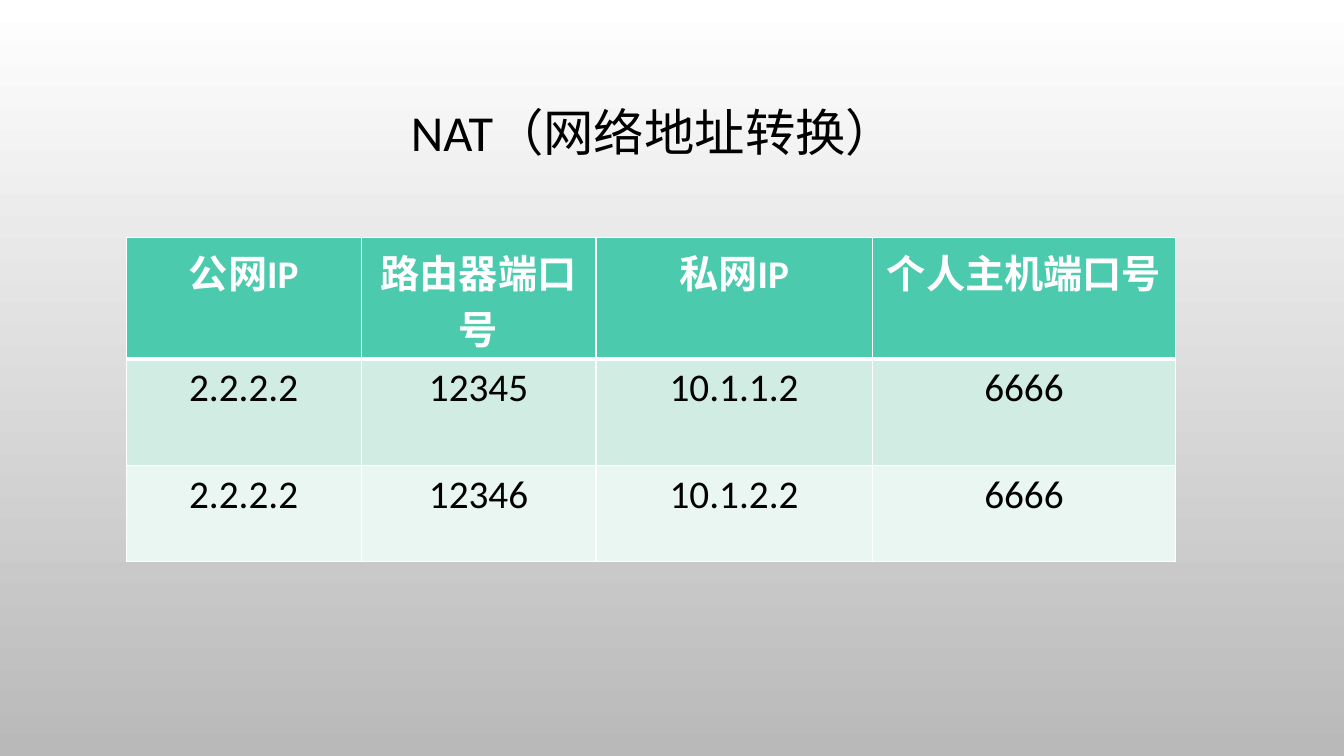
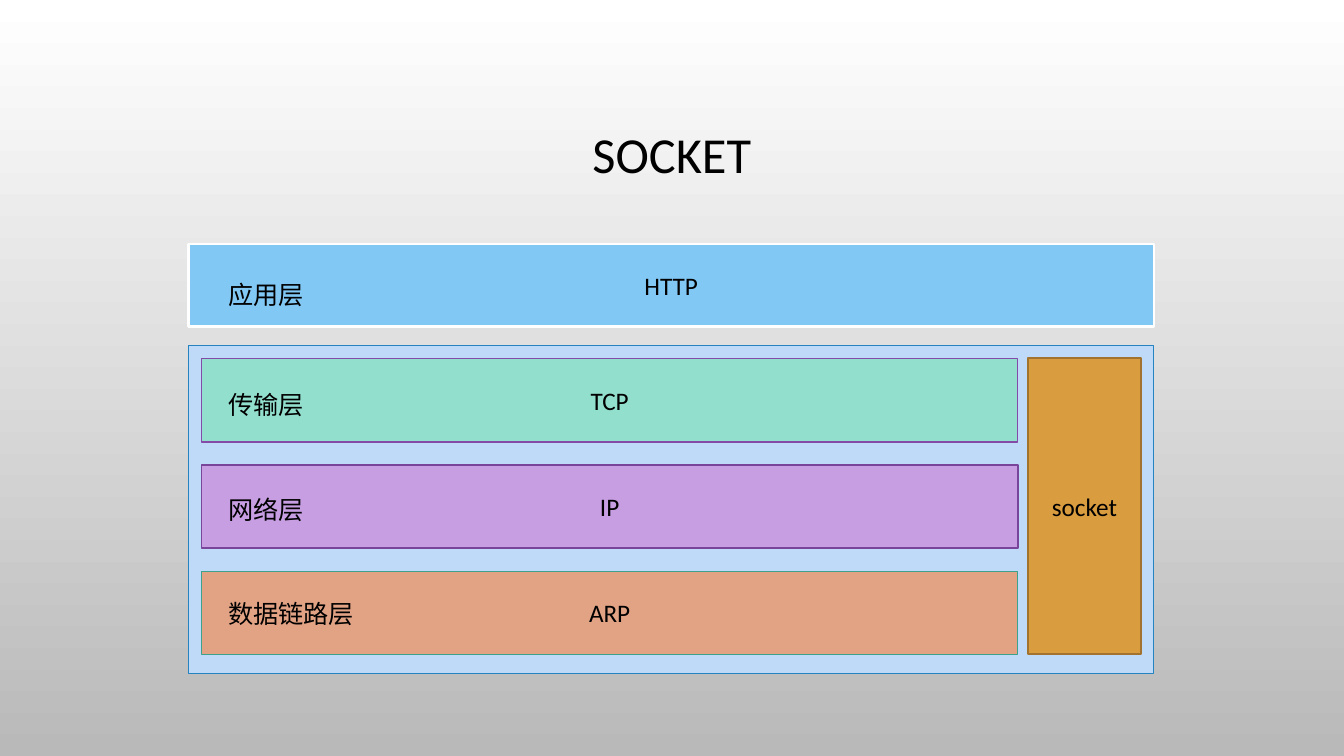
from lxml.etree import SubElement
from pptx import Presentation
from pptx.dml.color import RGBColor
from pptx.enum.shapes import MSO_SHAPE
from pptx.enum.text import MSO_ANCHOR, MSO_AUTO_SIZE, PP_ALIGN
from pptx.oxml.ns import qn
from pptx.util import Cm, Pt

FONT = "Calibri"
BLACK = RGBColor(0x00, 0x00, 0x00)
WHITE = RGBColor(0xFF, 0xFF, 0xFF)
GRAY = RGBColor(0xB9, 0xB9, 0xB9)
HEADER_GREEN = RGBColor(0x4B, 0xCA, 0xAD)
ROW_GREEN = RGBColor(0xD0, 0xEC, 0xE3)
ROW_PALE = RGBColor(0xE9, 0xF6, 0xF1)
SKY = RGBColor(0x82, 0xC8, 0xF5)
PALE_BLUE = RGBColor(0xBF, 0xDA, 0xF9)
BLUE_LINE = RGBColor(0x26, 0x83, 0xBF)
OCHRE = RGBColor(0xD9, 0x9C, 0x3F)
OCHRE_LINE = RGBColor(0xA1, 0x73, 0x2F)
MINT = RGBColor(0x93, 0xDF, 0xCE)
MINT_LINE = RGBColor(0x83, 0x4A, 0xA7)
LILAC = RGBColor(0xC8, 0x9E, 0xE3)
LILAC_LINE = RGBColor(0x79, 0x45, 0x9B)
SALMON = RGBColor(0xE2, 0xA3, 0x85)
SALMON_LINE = RGBColor(0x3C, 0xA2, 0x8B)


def write(frame, text, size, align=PP_ALIGN.CENTER, color=BLACK, bold=False):
    """Fill a text frame with one formatted paragraph."""
    frame.text = text
    frame.word_wrap = True
    para = frame.paragraphs[0]
    para.alignment = align
    for span in para.runs:
        span.font.name = FONT
        span.font.size = Pt(size)
        span.font.bold = bold
        span.font.color.rgb = color
    return para


def add_box(page, left, top, width, height, fill, line, line_width, text=""):
    """Draw a rectangle, with centred text if there is any."""
    box = page.shapes.add_shape(
        MSO_SHAPE.RECTANGLE, Cm(left), Cm(top), Cm(width), Cm(height))
    box.shadow.inherit = False
    box.fill.solid()
    box.fill.fore_color.rgb = fill
    box.line.color.rgb = line
    box.line.width = Pt(line_width)
    if text:
        box.text_frame.vertical_anchor = MSO_ANCHOR.MIDDLE
        write(box.text_frame, text, 18)


deck = Presentation()
deck.slide_width = Cm(33.87)
deck.slide_height = Cm(19.05)

# Shared background: white to gray, top to bottom
background = deck.slide_master.background.fill
background.gradient()
background.gradient_angle = 270
for stop, color in zip(background.gradient_stops, (WHITE, GRAY)):
    stop.color.rgb = color

# Pages with their titles
pages = []
for title, left, top in (("NAT（网络地址转换）", 2.08, 1.17),
                         ("SOCKET", 2.54, 1.73)):
    page = deck.slides.add_slide(deck.slide_layouts[6])
    title_box = page.shapes.add_textbox(Cm(left), Cm(top), Cm(28.78), Cm(4.45))
    title_box.text_frame.vertical_anchor = MSO_ANCHOR.MIDDLE
    write(title_box.text_frame, title, 36).line_spacing = 0.9
    pages.append(page)
nat_page, socket_page = pages

# Address translation table
rows = (
    ("公网IP", "路由器端口号", "私网IP", "个人主机端口号"),
    ("2.2.2.2", "12345", "10.1.1.2", "6666"),
    ("2.2.2.2", "12346", "10.1.2.2", "6666"),
)
row_fills = (HEADER_GREEN, ROW_GREEN, ROW_PALE)
column_widths = (5.92, 5.92, 6.96, 7.65)
row_heights = (3.05, 2.7, 2.41)
table = nat_page.shapes.add_table(
    len(rows), len(column_widths), Cm(3.18), Cm(5.99),
    Cm(sum(column_widths)), Cm(sum(row_heights))).table
for column, width in zip(table.columns, column_widths):
    column.width = Cm(width)
for row, height in zip(table.rows, row_heights):
    row.height = Cm(height)

for row_index, (texts, fill) in enumerate(zip(rows, row_fills)):
    is_header = row_index == 0
    for column_index, text in enumerate(texts):
        cell = table.cell(row_index, column_index)
        write(cell.text_frame, text, 28,
              color=WHITE if is_header else BLACK, bold=is_header)
        # The edge below the header is thicker, on both sides of it
        thick_edge = {0: "a:lnB", 1: "a:lnT"}.get(row_index)
        properties = cell._tc.get_or_add_tcPr()
        for edge in ("a:lnL", "a:lnR", "a:lnT", "a:lnB"):
            border = SubElement(properties, qn(edge))
            border.set("w", str(Pt(3 if edge == thick_edge else 1)))
            solid = SubElement(border, qn("a:solidFill"))
            SubElement(solid, qn("a:srgbClr")).set("val", str(WHITE))
        cell.fill.solid()
        cell.fill.fore_color.rgb = fill

# Application layer, the frame below it and the socket column
add_box(socket_page, 4.75, 6.15, 24.33, 2.08, SKY, WHITE, 1.75, "HTTP")
add_box(socket_page, 4.75, 8.71, 24.33, 8.26, PALE_BLUE, BLUE_LINE, 0.75)
add_box(socket_page, 25.91, 9.02, 2.84, 7.47, OCHRE, OCHRE_LINE, 1.25, "socket")

# Protocol layers inside the frame, at an equal pitch
layers = (
    ("TCP", MINT, MINT_LINE, 0.75),
    ("IP", LILAC, LILAC_LINE, 1.25),
    ("ARP", SALMON, SALMON_LINE, 0.75),
)
for index, (protocol, fill, line, line_width) in enumerate(layers):
    add_box(socket_page, 5.08, 9.03 + 2.68 * index, 20.57, 2.11,
            fill, line, line_width, protocol)

# Layer names
for name, top, width in (("应用层", 6.91, 2.84), ("传输层", 9.68, 2.44),
                         ("网络层", 12.32, 2.44), ("数据链路层", 14.94, 3.84)):
    label = socket_page.shapes.add_textbox(Cm(5.5), Cm(top), Cm(width), Cm(1.02))
    write(label.text_frame, name, 18, PP_ALIGN.LEFT)
    label.text_frame.auto_size = MSO_AUTO_SIZE.SHAPE_TO_FIT_TEXT

deck.save("out.pptx")
